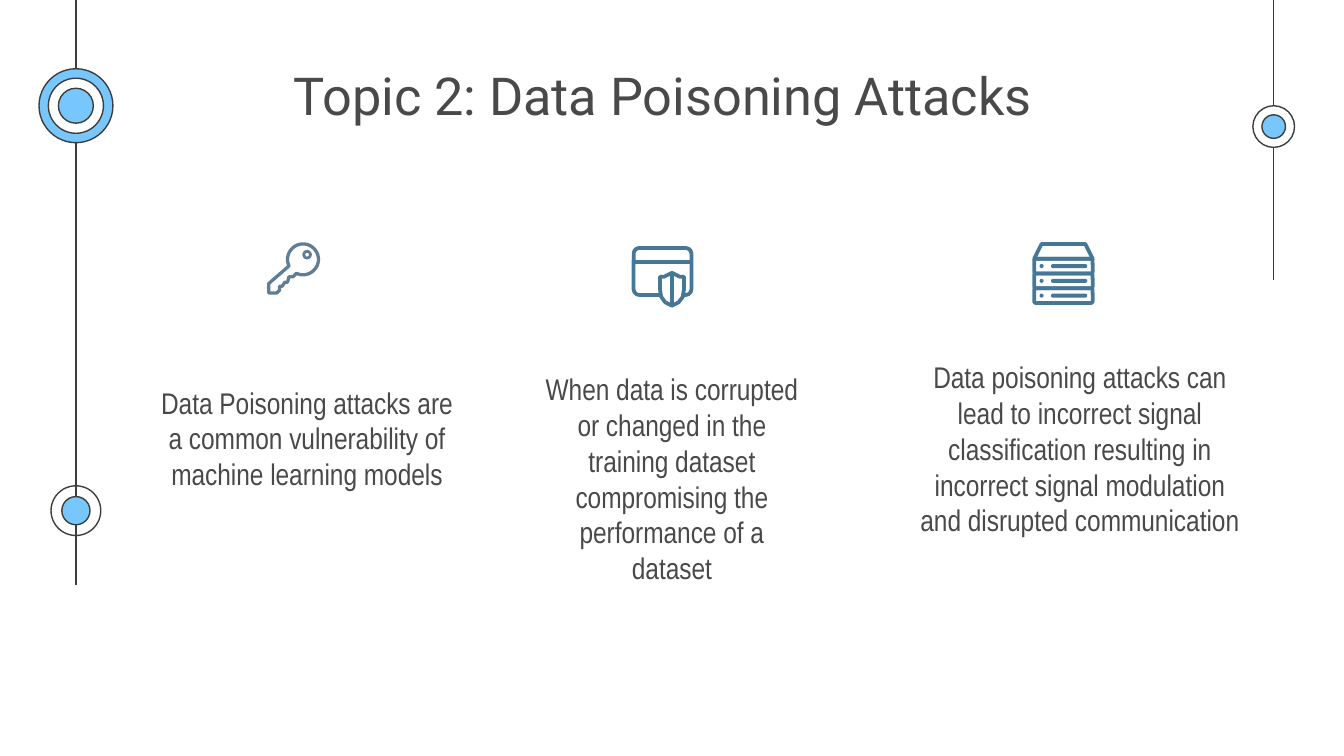
"""Build the data poisoning slide with three icon columns and two node rails."""
import math
from lxml import etree
from pptx import Presentation, util as u
from pptx.dml.color import RGBColor
from pptx.enum import shapes, text
from pptx.oxml import ns

prs = Presentation()
prs.slide_width = u.Inches(10)
prs.slide_height = prs.slide_width * 9 // 16
cell = prs.slide_width / 100
INK, SKY, WHITE, TEXT, STEEL, SLATE = "3D3D3D", "77C6FC", "FFFFFF", "494949", "477797", "5F7D95"
OVAL, ROUND = shapes.MSO_SHAPE.OVAL, shapes.MSO_SHAPE.ROUNDED_RECTANGLE
slide = prs.slides.add_slide(prs.slide_layouts[6])
sh = slide.shapes


def paint(fmt, color):
    fmt.solid()
    fmt.fore_color.rgb = RGBColor.from_string(color)


def add_text(words, *, at, size=16, font="Arial Narrow", color=TEXT):
    tf = sh.add_textbox(*[int(v * cell) for v in at]).text_frame
    tf.word_wrap = True
    tf.margin_left = tf.margin_right = tf.margin_top = tf.margin_bottom = u.Inches(0.1)
    p = tf.paragraphs[0]
    p.alignment = text.PP_ALIGN.CENTER
    r = p.add_run()
    r.text = words
    r.font.size, r.font.name = u.Pt(size), font
    paint(r.font.fill, color)


parts = [
    ("line", (5.65, 0, 5.65, 43.5), None, INK, 0.75),
    ("line", (94.77, 0, 94.77, 20.8), None, INK, 0.75),
]
nodes = [
    (5.65, 7.87, [(5.5, SKY), (4.1, WHITE), (2.6, SKY)]),
    (5.65, 38, [(3.7, None), (2.1, SKY)]),
    (94.77, 9.42, [(3.1, WHITE), (1.75, SKY)]),
]
for x, y, rings in nodes:
    for d, fill in rings:
        parts.append((OVAL, (x - d / 2, y - d / 2, d, d), fill, INK, 0.75))

bow = [(22.55 + 1.15 * math.cos(a), 19.3 + 1.15 * math.sin(a))
       for a in (math.radians(155 + 10 * i) for i in range(33))]
teeth = [(21.8, 20.6), (21.5, 20.6), (21.4, 21), (21.2, 21), (21, 21.3), (20.8, 21.3),
         (20.8, 21.6), (20.6, 21.8), (20, 21.8), (20, 21.1)]
half = [(50.6, 20.6), (50.9, 20.6), (50.9, 21.5), (50.8, 22.1), (50.5, 22.5)]
shield = [(50, 20.3), *half, (50, 22.75), *[(100 - x, y) for x, y in half[::-1]]]
parts += [
    ("free", bow + teeth, None, SLATE, 1.75),
    (OVAL, (22.6, 18.7, 0.5, 0.5), None, SLATE, 1.5),
    (ROUND, (47.15, 18.45, 4.3, 3.5), None, STEEL, 2),
    ("line", (47.15, 19.5, 51.45, 19.5), None, STEEL, 2),
    ("free", shield, WHITE, STEEL, 2),
    ("line", (50, 20.4, 50, 22.75), None, STEEL, 2),
    ("free", [(76.95, 19.25), (77.5, 18.15), (80.75, 18.15), (81.3, 19.25)], None, STEEL, 2),
]
for i in range(3):
    y = 19.25 + 1.1 * i
    parts += [
        (ROUND, (76.95, y, 4.35, 1.1), None, STEEL, 2),
        (OVAL, (77.35, y + 0.4, 0.3, 0.3), STEEL, None, 0),
        (ROUND, (78.2, y + 0.4, 2.7, 0.3), STEEL, None, 0),
    ]

for kind, at, fill, line, width in parts:
    if kind == "line":
        s = sh.add_connector(shapes.MSO_CONNECTOR.STRAIGHT, *[int(v * cell) for v in at])
    elif kind == "free":
        pts = [(x * 100, y * 100) for x, y in at]
        fb = sh.build_freeform(*pts[0], scale=cell / 100)
        fb.add_line_segments(pts[1:], close=True)
        s = fb.convert_to_shape()
    else:
        s = sh.add_shape(kind, *[int(v * cell) for v in at])
        if kind == ROUND:
            s.adjustments[0] = 0.5 if fill else 0.12
    if fill:
        paint(s.fill, fill)
    elif kind != "line":
        s.fill.background()
    if line:
        paint(s.line.fill, line)
        s.line.width = u.Pt(width)
    else:
        s.line.fill.background()
    etree.SubElement(s._element.spPr, ns.qn("a:effectLst"))

add_text("Topic 2: Data Poisoning Attacks", at=(18.8, 3.7, 61, 6.5), size=28, font="Roboto")
add_text("When data is corrupted or changed in the training dataset compromising "
         "the performance of a dataset", at=(39.2, 26.6, 21.6, 16.3))
add_text("Data Poisoning attacks are a common vulnerability of machine learning models",
         at=(10.95, 27.6, 23.8, 14.4))
add_text("Data poisoning attacks can lead to incorrect signal classification resulting in "
         "incorrect signal modulation and disrupted communication", at=(67.4, 25.7, 25.9, 11.8))

prs.save("out.pptx")
